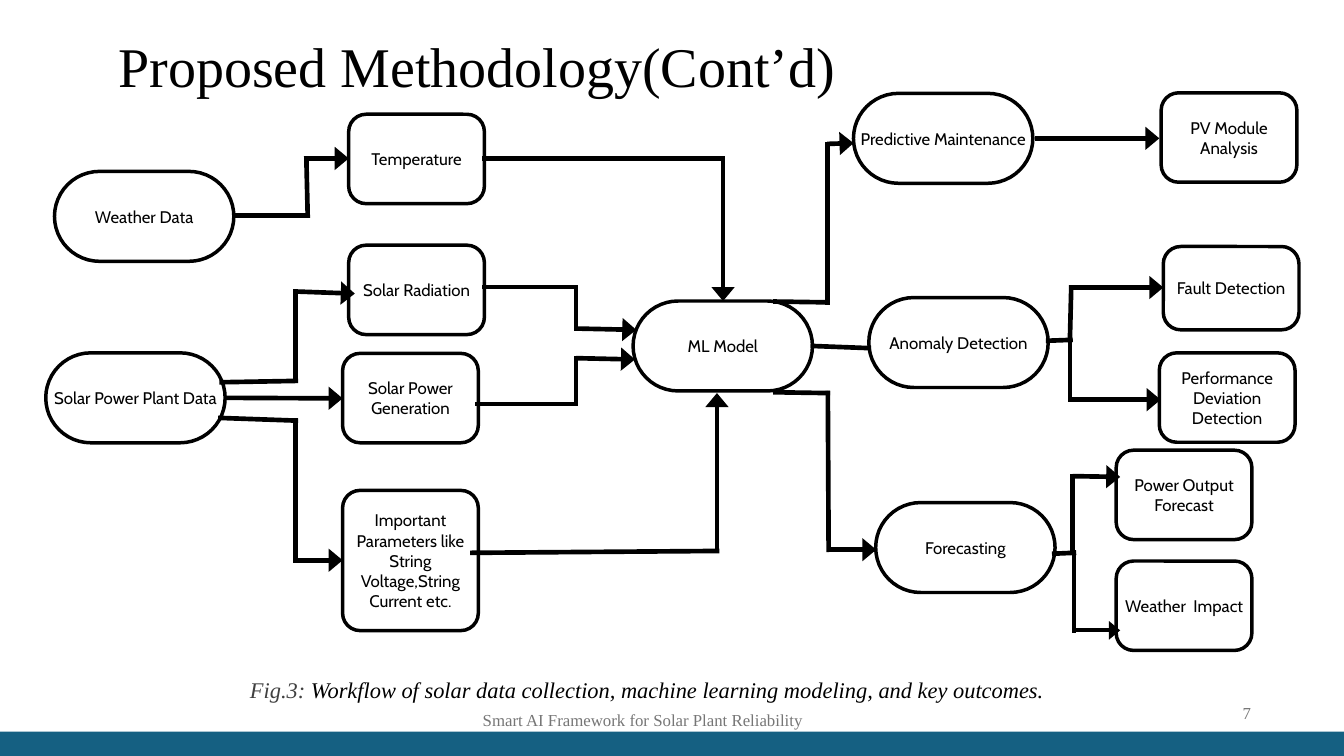
from itertools import pairwise

from lxml import etree
from pptx import Presentation
from pptx import util as u
from pptx.dml.color import RGBColor
from pptx.enum import shapes, text
from pptx.oxml.ns import qn

SERIF, SANS = "Times New Roman", "Cabin"
ALIGN = text.PP_ALIGN
PILL_W, PILL_H = 6.78, 3.4
CARD_W, CARD_H = 5.13, 3.38
CARD_RADIUS = 0.66

# label, left, top (cm)
PILLS = [
    ("Weather Data", 2.06, 6.48),
    ("Solar Power Plant Data", 1.73, 13.34),
    ("ML Model", 23.93, 11.38),
    ("Predictive Maintenance", 32.26, 3.53),
    ("Anomaly Detection", 32.84, 11.25),
    ("Forecasting", 33.1, 19),
]

# label, left, top, height (cm)
CARDS = [
    ("Temperature", 13.18, 4.32, CARD_H),
    ("Solar Radiation", 13.18, 9.27, CARD_H),
    ("Solar Power Generation", 12.95, 13.36, CARD_H),
    ("Important Parameters like String Voltage,String Current etc.",
     12.95, 18.54, 5.3),
    ("PV Module Analysis", 43.89, 3.51, CARD_H),
    ("Fault Detection", 43.97, 9.32, 3.15),
    ("Performance Deviation Detection", 43.82, 13.34, CARD_H),
    ("Power Output Forecast", 42.19, 17.02, CARD_H),
    ("Weather  Impact", 42.19, 21.21, CARD_H),
]

# Paths that end in an arrowhead
ARROWS = [
    # inputs to the model
    [(18.31, 5.99), (27.33, 5.99), (27.33, 11.38)],
    [(17.86, 20.9), (27.1, 20.83), (27.1, 14.86)],
    [(18.31, 10.85), (21.77, 10.85), (21.77, 12.42), (24.05, 12.47)],
    [(18.06, 15.27), (21.77, 15.27), (21.77, 13.54), (24, 13.59)],
    # sources to inputs
    [(8.84, 8.15), (11.63, 8.15), (11.58, 5.99), (13.18, 5.99)],
    [(8.38, 14.45), (11.18, 14.4), (11.18, 11.02), (13.41, 11.1)],
    [(8.51, 15.04), (12.95, 15.06)],
    [(8.33, 15.8), (11.18, 15.9), (11.18, 21.18), (12.95, 21.18)],
    # model to tasks
    [(29.31, 11.4), (31.27, 11.43), (31.27, 5.44), (32.26, 5.41)],
    [(29.31, 14.83), (31.29, 14.86), (31.32, 20.78), (33.12, 20.78)],
    # tasks to outcomes
    [(39.12, 5.23), (43.82, 5.23)],
    [(40.44, 12.85), (40.49, 10.87), (43.97, 10.87)],
    [(40.44, 12.85), (40.44, 15.11), (43.87, 15.11)],
    [(40.54, 20.9), (40.54, 18), (42.34, 18.03)],
]

# Paths without an arrowhead
STEMS = [
    [(30.73, 13.08), (32.84, 13.16)],
    [(39.62, 12.88), (40.46, 12.85)],
    [(39.85, 20.93), (40.59, 20.9), (40.59, 23.83)],
]


def rgb(value):
    return RGBColor.from_string(value)


def place(sp, left, top, width, height):
    sp.left, sp.top = u.Cm(left), u.Cm(top)
    sp.width, sp.height = u.Cm(width), u.Cm(height)


def format_text(sp, size, font, color, align, spacing,
                anchor=text.MSO_ANCHOR.MIDDLE, wrap=True):
    tf = sp.text_frame
    tf.auto_size = text.MSO_AUTO_SIZE.NONE
    tf.word_wrap = wrap
    tf.vertical_anchor = anchor
    tf.margin_left = tf.margin_right = tf.margin_top = tf.margin_bottom = 0
    p = tf.paragraphs[0]
    p.alignment = align
    p.line_spacing = u.Pt(spacing)
    for r in p.runs:
        r.font.size = u.Pt(size)
        r.font.name = font
        r.font.color.rgb = rgb(color)


def add_label(s, label, box, size, color, align, spacing, **options):
    sp = s.shapes.add_textbox(*(u.Cm(v) for v in box))
    sp.text_frame.text = label
    format_text(sp, size, SERIF, color, align, spacing, **options)
    return sp


def add_node(s, label, left, top, width, height, radius, wrap):
    sp = s.shapes.add_shape(shapes.MSO_SHAPE.ROUNDED_RECTANGLE,
                            u.Cm(left), u.Cm(top), u.Cm(width), u.Cm(height))
    sp.adjustments[0] = radius / min(width, height)
    sp.shadow.inherit = False
    sp.fill.solid()
    sp.fill.fore_color.rgb = rgb("FFFFFF")
    sp.line.color.rgb = rgb("000000")
    sp.line.width = u.Pt(3.75)
    sp.text_frame.text = label
    format_text(sp, 18, SANS, "000000", ALIGN.CENTER, 21.6, wrap=wrap)


def add_segment(s, start, end, arrow, width):
    cx = s.shapes.add_connector(shapes.MSO_CONNECTOR.STRAIGHT,
                                *(u.Cm(v) for v in start + end))
    cx.line.color.rgb = rgb("000000")
    cx.line.width = u.Pt(width)
    ln = cx.line._get_or_add_ln()
    if arrow:
        etree.SubElement(ln, qn("a:tailEnd"), type="triangle", w="lg", len="med")
    else:
        ln.set("cap", "sq")
    etree.SubElement(cx._element.spPr, qn("a:effectLst"))


def add_path(s, points, arrow=True, width=5):
    segments = list(pairwise(points))
    for i, (start, end) in enumerate(segments, 1):
        add_segment(s, start, end, arrow and i == len(segments), width)


def add_title(s):
    sp = s.shapes.title
    place(sp, 4.47, -0.15, 43.82, 5.44)
    sp.text_frame.text = "Proposed Methodology(Cont’d)"
    format_text(sp, 60, SERIF, "000000", ALIGN.LEFT, 64.8)


def add_footer(s):
    bar = s.shapes.add_shape(shapes.MSO_SHAPE.RECTANGLE,
                             0, u.Cm(27.66), u.Cm(50.8), u.Cm(0.92))
    bar.shadow.inherit = False
    bar.fill.solid()
    bar.fill.fore_color.rgb = rgb("156082")
    bar.line.fill.background()
    add_label(s, "Smart AI Framework for Solar Plant Reliability",
              (6.02, 26.44, 36.55, 1.55), 18, "767676", ALIGN.CENTER, 21.6)
    add_label(s, "7", (35.86, 26.44, 11.43, 0.99), 18, "767676",
              ALIGN.RIGHT, 21.6)


def add_caption(s):
    sp = add_label(s, "Fig.3: ", (9.45, 25.55, 31.88, 1.04), 24, "404040",
                   ALIGN.JUSTIFY, 28.8, anchor=text.MSO_ANCHOR.TOP)
    p = sp.text_frame.paragraphs[0]
    r = p.add_run()
    r.text = ("Workflow of solar data collection, machine learning modeling, "
              "and key outcomes.")
    r.font.size, r.font.name = u.Pt(24), SERIF
    r.font.color.rgb = rgb("000000")
    for r in p.runs:
        r.font.italic = True


def main():
    prs = Presentation()
    prs.slide_width, prs.slide_height = u.Cm(50.8), u.Cm(28.58)
    s = prs.slides.add_slide(prs.slide_layouts[5])

    # Frame
    add_title(s)
    add_footer(s)
    add_caption(s)

    # Flowchart nodes
    for label, left, top in PILLS:
        add_node(s, label, left, top, PILL_W, PILL_H, PILL_H / 2, wrap=False)
    for label, left, top, height in CARDS:
        add_node(s, label, left, top, CARD_W, height, CARD_RADIUS, wrap=True)

    # Flowchart links
    for points in ARROWS:
        add_path(s, points)
    for points in STEMS:
        add_path(s, points, arrow=False)
    add_path(s, [(40.54, 23.83), (42.34, 23.83)], width=4)

    prs.save("out.pptx")


if __name__ == "__main__":
    main()
